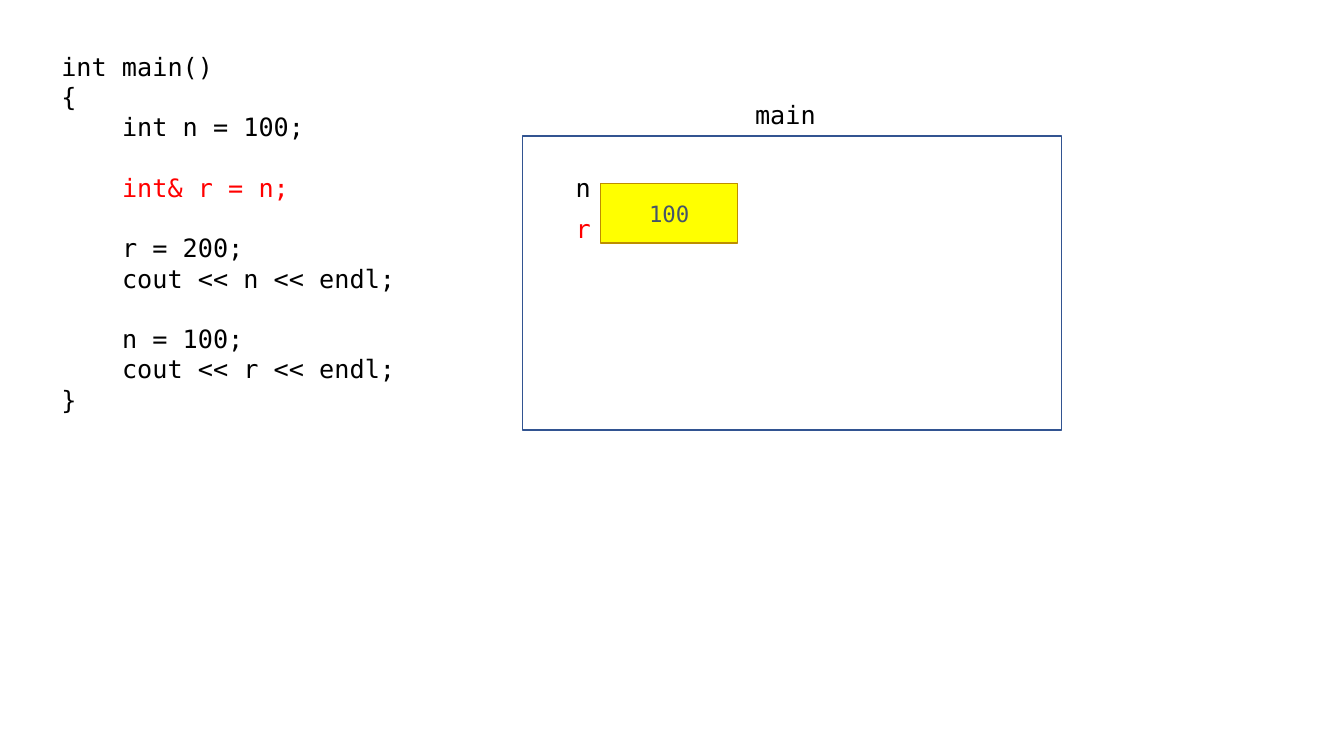
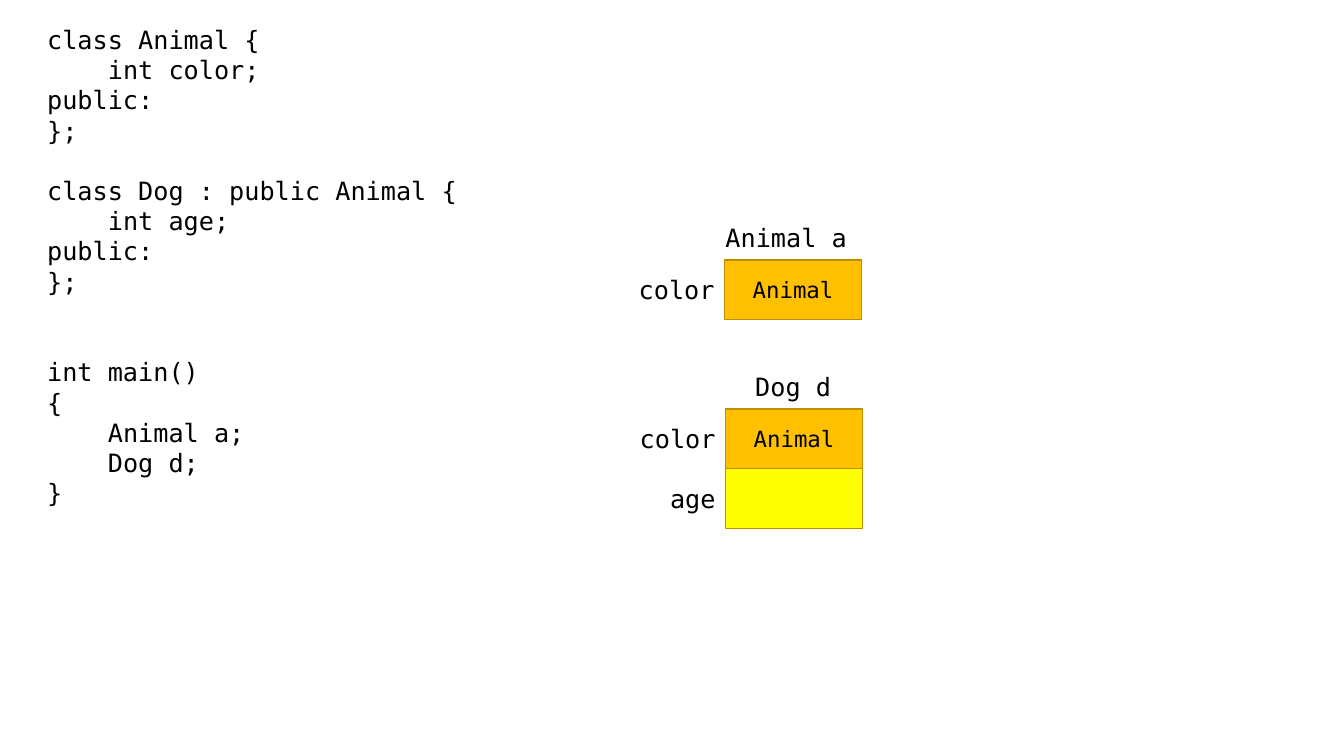
"""Two slides on C++ references and derived objects in memory."""
import pptx
import pptx.util
import pptx.dml.color
import pptx.enum.shapes
import pptx.enum.text

Pt = pptx.util.Pt
RGBColor = pptx.dml.color.RGBColor
ALIGN = pptx.enum.text.PP_ALIGN

BLACK = RGBColor(0x00, 0x00, 0x00)
WHITE = RGBColor(0xFF, 0xFF, 0xFF)
RED = RGBColor(0xFF, 0x00, 0x00)
SLATE = RGBColor(0x44, 0x54, 0x6A)
BLUE = RGBColor(0x32, 0x54, 0x91)
YELLOW = RGBColor(0xFF, 0xFF, 0x00)
ORANGE = RGBColor(0xFF, 0xC0, 0x00)
BROWN = RGBColor(0xBD, 0x8E, 0x00)

FONT = "DejaVu Sans Mono"
LINE = 21.6
STEP = 10.84
TALL = 28.8
CELL_W, CELL_H = 98, 42.6

REF_CODE = """int main()
{
    int n = 100;

    int& r = n;

    r = 200;
    cout << n << endl;

    n = 100;
    cout << r << endl;
}"""

DOG_CODE = """class Animal {
    int color;
public:
};

class Dog : public Animal {
    int age;
public:
};


int main()
{
    Animal a;
    Dog d;
}"""


def style(par, size, color, align=ALIGN.LEFT):
    """Set the font and alignment of a paragraph."""
    par.alignment = align
    par.font.name = FONT
    par.font.size = Pt(size)
    par.font.color.rgb = color


def add_box(slide, left, top, width, height):
    """Add an empty wrapping text box and return its frame."""
    box = slide.shapes.add_textbox(Pt(left), Pt(top), Pt(width), Pt(height))
    frame = box.text_frame
    frame.word_wrap = True
    frame.auto_size = pptx.enum.text.MSO_AUTO_SIZE.SHAPE_TO_FIT_TEXT
    return frame


def add_code(slide, code, left, top, width, marked=""):
    """Add a listing, with margins for indents and spacing for gaps."""
    lines = code.split("\n")
    frame = add_box(slide, left, top, width, len(lines) * LINE + 7.2)
    par, gap = frame.paragraphs[0], 0
    for index, line in enumerate(lines):
        text = line.lstrip()
        if not text:
            gap += LINE
            continue
        if index:
            par = frame.add_paragraph()
        par.text = text
        style(par, 18, RED if text == marked else BLACK)
        par.line_spacing = Pt(LINE)
        par.space_before = Pt(gap)
        indent = (len(line) - len(text)) * STEP
        par._p.get_or_add_pPr().set("marL", str(Pt(indent)))
        gap = 0


def add_label(slide, text, left, top, width, color=BLACK, align=ALIGN.CENTER):
    """Add a single line of text."""
    par = add_box(slide, left, top, width, TALL).paragraphs[0]
    par.text = text
    style(par, 18, color, align)


def add_name(slide, text, right, top, color=BLACK):
    """Add a variable name that ends at the left edge of a cell."""
    add_label(slide, text, right - 80, top, 80, color, ALIGN.RIGHT)


def add_rect(slide, left, top, width, height, fill, edge):
    """Add a rectangle without shadow."""
    kind = pptx.enum.shapes.MSO_SHAPE.RECTANGLE
    rect = slide.shapes.add_shape(kind, Pt(left), Pt(top), Pt(width), Pt(height))
    rect.shadow.inherit = False
    rect.fill.solid()
    rect.fill.fore_color.rgb = fill
    rect.line.color.rgb = edge
    rect.line.width = Pt(1)
    return rect


def add_cell(slide, left, top, fill, text="", color=BLACK):
    """Add a memory cell with an optional value."""
    cell = add_rect(slide, left, top, CELL_W, CELL_H, fill, BROWN)
    if text:
        frame = cell.text_frame
        frame.vertical_anchor = pptx.enum.text.MSO_ANCHOR.MIDDLE
        frame.text = text
        style(frame.paragraphs[0], 16, color, ALIGN.CENTER)


def add_field(slide, name, left, top, fill, text=""):
    """Add a memory cell with its name centred beside it."""
    add_cell(slide, left, top, fill, text)
    add_name(slide, name, left, top + (CELL_H - TALL) / 2)


def draw_ref(slide):
    """Draw a reference that shares the cell of a variable."""
    add_code(slide, REF_CODE, 36.7, 33.1, 330.5, "int& r = n;")
    add_rect(slide, 373, 97.2, 385.2, 210, WHITE, BLUE)
    add_label(slide, "main", 526, 67.7, 70)
    add_cell(slide, 429, 131, YELLOW, "100", SLATE)
    add_name(slide, "n", 429, 119.5)
    add_name(slide, "r", 429, 148.5, RED)


def draw_dog(slide):
    """Draw a base object and a derived object."""
    add_code(slide, DOG_CODE, 26.6, 13.7, 480)
    add_label(slide, "Animal a", 493, 155.5, 137)
    add_field(slide, "color", 517.5, 185.6, ORANGE, "Animal")
    add_label(slide, "Dog d", 498, 262, 137)
    add_field(slide, "color", 518.2, 292.2, ORANGE, "Animal")
    add_field(slide, "age", 518.2, 292.2 + CELL_H, YELLOW)


def main():
    """Build and save the deck."""
    deck = pptx.Presentation()
    deck.slide_width, deck.slide_height = Pt(960), Pt(540)
    for draw in (draw_ref, draw_dog):
        draw(deck.slides.add_slide(deck.slide_layouts[6]))
    deck.save("out.pptx")


main()
